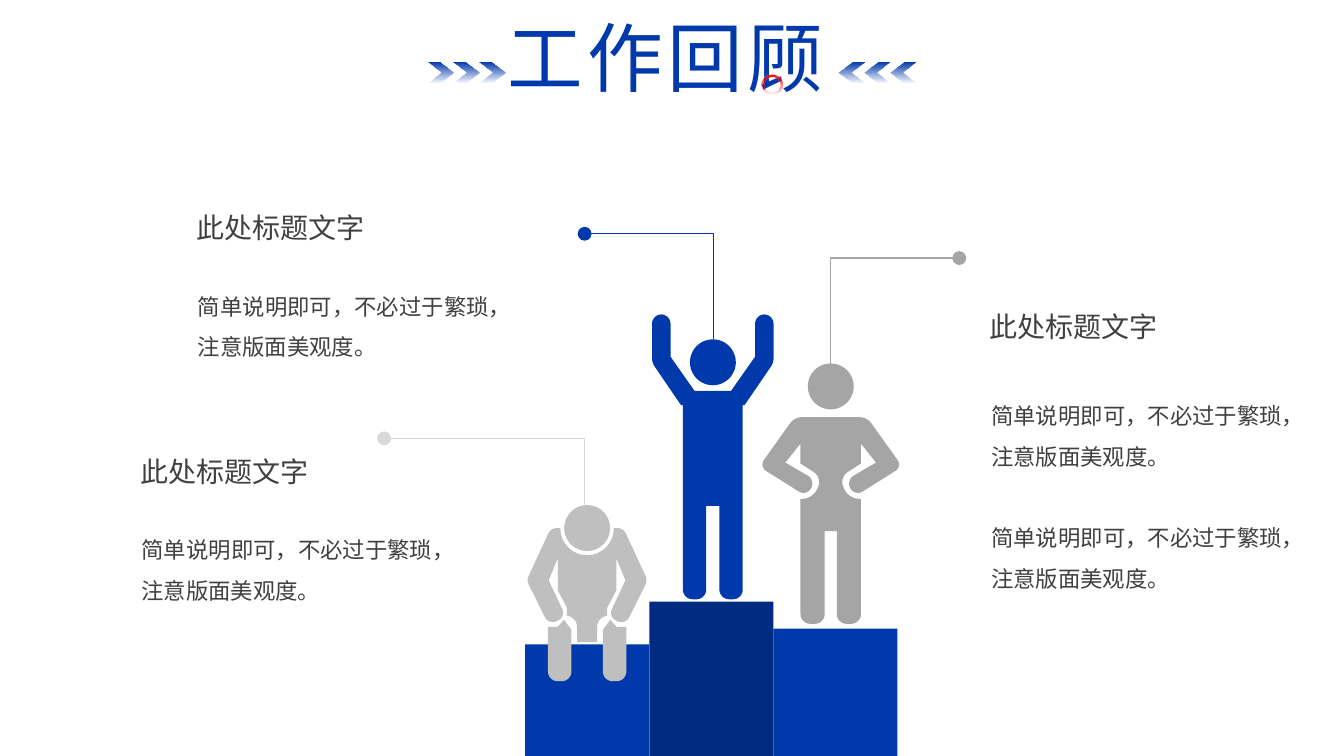
from math import dist

from lxml import etree
from pptx import Presentation
from pptx.dml.color import RGBColor
from pptx.enum.lang import MSO_LANGUAGE_ID
from pptx.enum.shapes import MSO_SHAPE
from pptx.enum.text import MSO_ANCHOR, MSO_AUTO_SIZE, PP_ALIGN
from pptx.oxml.ns import qn
from pptx.util import Pt

RECT, OVAL, DONUT = MSO_SHAPE.RECTANGLE, MSO_SHAPE.OVAL, MSO_SHAPE.DONUT
TOP, FIXED = MSO_ANCHOR.TOP, MSO_AUTO_SIZE.NONE
CENTER, JUSTIFY = PP_ALIGN.CENTER, PP_ALIGN.JUSTIFY
CHINESE = MSO_LANGUAGE_ID.SIMPLIFIED_CHINESE
CJK = "Noto Sans CJK SC"
BLUE, NAVY, RED = "0039AC", "002B81", "FF0000"
SILVER, GRAY, PALE, INK = "BFBFBF", "A5A5A5", "D9D9D9", "404040"
NOTE = "简单说明即可，不必过于繁琐，注意版面美观度。"

# Right halves of the figures: x from the axis, y from the top, corner radius
WINNER = [(13, 54.7), (30.2, 30.2), (30.2, 0, 6.7), (43.4, 0, 6.7),
          (43.4, 34.5, 3), (22.7, 64.8), (21.4, 64.8), (21.4, 203.5, 7),
          (4.7, 203.5, 7), (4.7, 136.8)]
SECOND = [(21.6, 0), (25.9, 0, 5), (51.1, 35.3, 5.8), (17.3, 56.5, 6.4),
          (10.8, 45, 6.4), (32.4, 32.4), (21.6, 18.9), (21.6, 33.1),
          (5.8, 43.2, 7.5), (13, 58.3, 7), (21.6, 58.3), (21.6, 147.6, 7),
          (4.3, 147.6, 7), (4.3, 81.4)]
THIRD = [(0, 19.4), (19.1, 19.4, 19), (19.1, 0), (25.9, 0, 4),
         (43.2, 37.4, 3), (27.4, 69.1, 6), (15.1, 63.4, 6), (27.4, 37.4),
         (20.9, 21.6), (20.9, 44.6), (14.4, 56.9), (14.4, 62.6),
         (7.2, 63.4, 7), (7.2, 81.4)]
LEG = [(11.2, 72.7), (16.6, 65.5), (21, 70.6), (28, 70.6),
       (28, 109.4, 7), (11.2, 109.4, 7)]
CHEVRON = [(0, 0), (8.8, 0), (18.2, 7.2), (8.8, 14.4), (0, 14.4), (9, 7.2)]


def rgb(code):
    return RGBColor.from_string(code)


def grade(fill, first, last):
    fill.gradient()
    fill.gradient_angle = 270
    for stop, code in zip(fill.gradient_stops, (first, last)):
        stop.color.rgb = rgb(code)


def fade(shape, code):
    """Fill a shape with a colour that turns clear at the bottom."""
    grade(shape.fill, code, code)
    last = shape.element.spPr.findall(".//" + qn("a:srgbClr"))[-1]
    etree.SubElement(last, qn("a:alpha"), val="0")


def plain(shape, code=None):
    shape.shadow.inherit = False
    shape.line.fill.background()
    if code:
        shape.fill.solid()
        shape.fill.fore_color.rgb = rgb(code)
    return shape


def preset(slide, kind, x, y, w, h, code=None):
    shape = slide.shapes.add_shape(kind, Pt(x), Pt(y), Pt(w), Pt(h))
    return plain(shape, code)


def trace(slide, points, close=True):
    spots = [(Pt(x), Pt(y)) for x, y in points]
    pen = slide.shapes.build_freeform(*spots[0])
    pen.add_line_segments(spots[1:], close=close)
    return plain(pen.convert_to_shape())


def bend(points, steps=8):
    """Return the outline with each corner rounded by its radius."""
    result = []
    for i, (x, y, *radius) in enumerate(points):
        if not radius:
            result.append((x, y))
            continue
        ends = []
        for near in (points[i - 1], points[(i + 1) % len(points)]):
            part = radius[0] / dist((x, y), near[:2])
            ends.append((x + (near[0] - x) * part, y + (near[1] - y) * part))
        for k in range(steps + 1):
            t = k / steps
            a = (1 - t) ** 3 + 1.35 * t * (1 - t) ** 2
            b = t ** 3 + 1.35 * t * t * (1 - t)
            result.append(tuple(a * p + b * q + (1 - a - b) * c
                                for p, q, c in zip(*ends, (x, y))))
    return result


def write(frame, text, size=16, color=INK, font="Arial", align=JUSTIFY,
          wrap=True, space=1.0, inset=(0, 0)):
    frame.auto_size = FIXED
    frame.word_wrap = wrap
    frame.vertical_anchor = TOP
    frame.margin_left = frame.margin_right = Pt(inset[0])
    frame.margin_top = frame.margin_bottom = Pt(inset[1])
    line = frame.paragraphs[0]
    line.alignment, line.line_spacing = align, space
    run = line.add_run()
    run.text = text
    run.font.size, run.font.name = Pt(size), font
    run.font.language_id = CHINESE
    run.font.color.rgb = rgb(color)
    mark = run.font.fill and run.element if hasattr(run, "element") else run._r
    etree.SubElement(mark.get_or_add_rPr(), qn("a:ea"), typeface=CJK)
    return run


def label(slide, x, y, w, h, text, **form):
    box = slide.shapes.add_textbox(Pt(x), Pt(y), Pt(w), Pt(h))
    write(box.text_frame, text, **form)


def header(slide, x, y, w, h):
    title = slide.shapes.title
    title.left, title.top, title.width, title.height = map(Pt, (x, y, w, h))
    run = write(title.text_frame, "工作回顾", size=54, font=CJK, align=CENTER,
                wrap=False, inset=(7.2, 3.6))
    grade(run.font.fill, BLUE, "042656")
    run._r.get_or_add_rPr().set("spc", "300")
    ring = preset(slide, DONUT, x + 191.5, y + 49, 14.4, 14.4)
    ring.adjustments[0] = 0.13
    fade(ring, RED)
    for start, side in ((x - 46.8, 1), (x + w + 56.4, -1)):
        for i in range(3):
            fade(trace(slide, [(start + side * (px + 18.3 * i), y + 40.3 + py)
                               for px, py in CHEVRON]), BLUE)


def block(slide, x, y, offsets):
    """Place a heading with a note at each offset below it."""
    label(slide, x, y, 121, 24.5, "此处标题文字", size=20, wrap=False)
    for drop in offsets:
        label(slide, x + 1, y + drop, 208, 54.7, NOTE, space=1.5)


def person(slide, axis, y, half, code, head):
    """Mirror a half outline about the axis and add the round head."""
    left = [(-px, *rest) for px, *rest in reversed(half)]
    body = bend(half + left)
    plain(trace(slide, [(axis + px, y + py) for px, py in body]), code)
    preset(slide, OVAL, axis - 16.4, y + head, 32.8, 32.8, code)


def legs(slide, axis, y, code):
    for side in (-1, 1):
        leg = [(axis + side * px, y + py) for px, py in bend(LEG)]
        plain(trace(slide, leg), code)


def leader(slide, start, end, code):
    shape = trace(slide, [start, (end[0], start[1]), end], close=False)
    shape.fill.background()
    shape.line.color.rgb = rgb(code)
    shape.line.width = Pt(1)
    line = shape.element.spPr.find(qn("a:ln"))
    etree.SubElement(line, qn("a:headEnd"), type="oval", w="lg", len="lg")


def podium(slide, x, y, w, h):
    step = w / 3
    for i, (drop, code) in enumerate([(30.4, BLUE), (0, NAVY), (19.2, BLUE)]):
        preset(slide, RECT, x + i * step, y + drop, step, h - drop, code)
    person(slide, x + 44.2, y - 52.6, THIRD, SILVER, -16.4)
    legs(slide, x + 44.2, y - 52.6, SILVER)
    person(slide, x + 134, y - 205.2, WINNER, BLUE, 17.8)
    person(slide, x + 218.2, y - 131.8, SECOND, GRAY, -38.4)
    leader(slide, (x - 100.8, y - 116.7), (x + 42.4, y - 69), PALE)
    leader(slide, (x + 42.4, y - 262.8), (x + 134.4, y - 187.4), BLUE)
    leader(slide, (x + 310, y - 245.5), (x + 218.2, y - 170), GRAY)


def main():
    deck = Presentation()
    deck.slide_width, deck.slide_height = Pt(960), Pt(540)
    slide = deck.slides.add_slide(deck.slide_layouts[5])
    header(slide, 352.8, 4.3, 244.8, 72.7)
    podium(slide, 375.2, 429.8, 265.8, 110.2)
    block(slide, 140.4, 150.5, [49])
    block(slide, 100.1, 324.7, [49])
    block(slide, 707, 221, [57, 144])
    deck.save("out.pptx")


if __name__ == "__main__":
    main()
